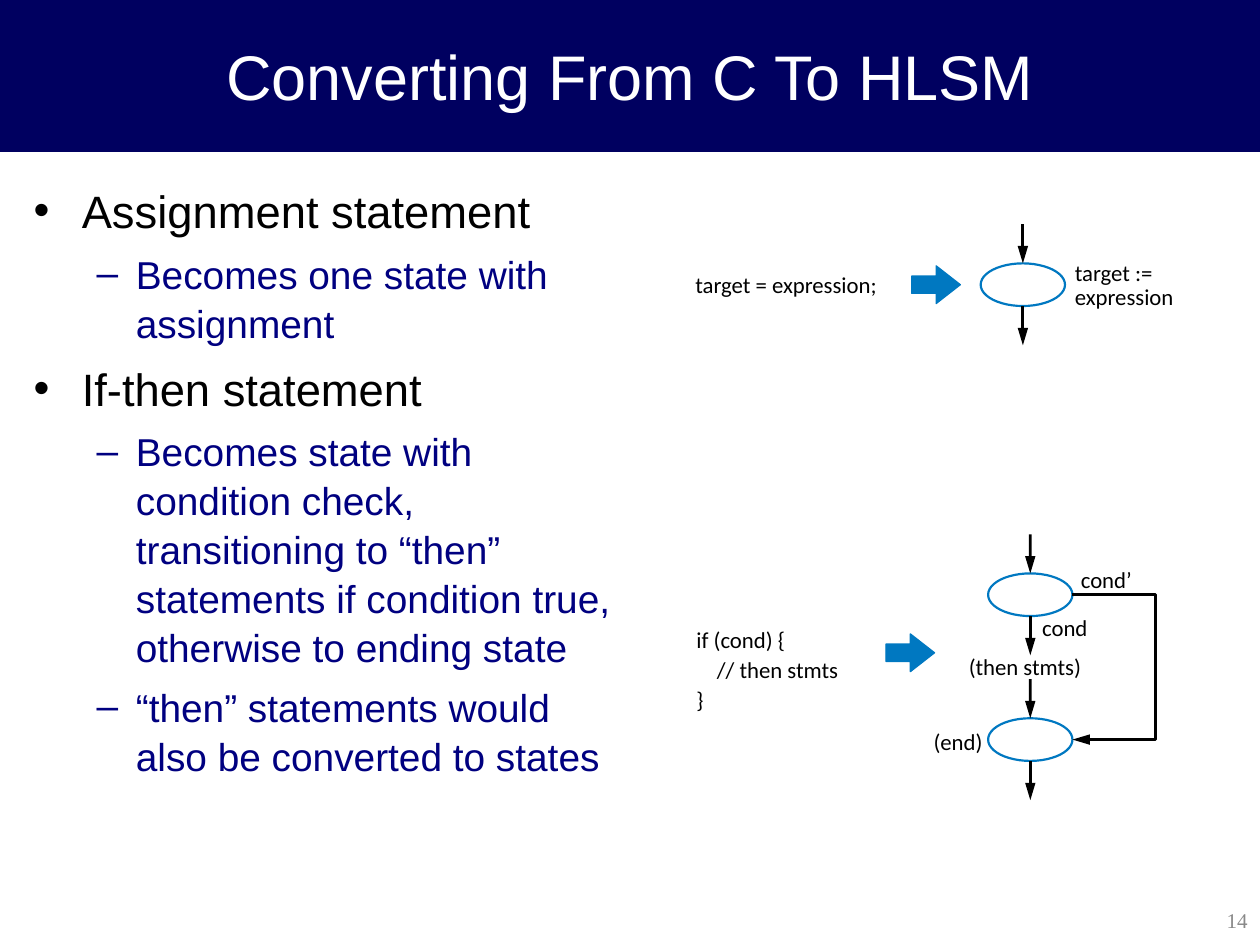
from lxml import etree
from pptx import Presentation
from pptx.dml.color import RGBColor
from pptx.enum import shapes, text
from pptx.oxml import ns
from pptx.util import Cm, Pt

NAVY, BLUE, BLACK, WHITE = "000060", "0078C1", "000000", "FFFFFF"

TITLE = "Converting From C To HLSM"
PAGE_NUMBER = "14"
POINTS = [  # level, wording
    (0, "Assignment statement"),
    (1, "Becomes one state with assignment"),
    (0, "If-then statement"),
    (1, "Becomes state with condition check, transitioning to “then” statements "
        "if condition true, otherwise to ending state"),
    (1, "“then” statements would also be converted to states"),
]
LEVELS = [
    dict(mark="•", size=25.9, color=BLACK, margin=0.97, hang=0.97, before=7),
    dict(mark="–", size=22.2, color="000080", margin=2.06, hang=0.79, before=6),
]
LABELS = [  # lines, left, top, width, line pitch in points
    (["target = expression;"], 14.02, 5.46, 4.4, None),
    (["target :=", "expression"], 21.67, 5.28, 2.45, 13.7),
    (["if (cond) {", "    // then stmts", "}"], 14.04, 12.55, 3.4, 17.3),
    (["(then stmts)"], 19.53, 13.16, 2.7, None),
    (["cond’"], 21.79, 11.4, 1.3, None),
    (["cond"], 21.01, 12.37, 1.2, None),
    (["(end)"], 18.82, 14.68, 1.2, None),
]
STATES = {  # centre x, top
    "assignment": (20.62, 5.31),
    "condition": (20.77, 11.56),
    "end": (20.77, 14.48),
}
STATE_W, STATE_H = 1.7, 0.86
FLOW = 0.79  # length of the arrows into and out of a state
BYPASS_X = 23.29
BLOCK_ARROWS = [(18.38, 5.36), (17.86, 12.78)]


def rgb(color):
    return RGBColor.from_string(color)


def set_font(para, name, size, color):
    para.font.name = name
    para.font.size = Pt(size)
    para.font.color.rgb = rgb(color)


def set_line(shape, color, width):
    shape.line.color.rgb = rgb(color)
    shape.line.width = Pt(width)


def add_arrowhead(shape):
    """Draw the shape's line in black, ending in a slim triangle."""
    set_line(shape, BLACK, 1.62)
    etree.SubElement(shape.line._get_or_add_ln(), ns.qn("a:tailEnd"),
                     type="triangle", w="med", len="lg")


def add_box(page, left, top, width, height, margin=None):
    box = page.shapes.add_textbox(Cm(left), Cm(top), Cm(width), Cm(height))
    frame = box.text_frame
    frame.word_wrap = True
    if margin is not None:
        frame.margin_left = frame.margin_right = Cm(margin)
        frame.margin_top = frame.margin_bottom = Cm(margin)
    return frame


def add_paragraphs(frame, lines):
    frame.text = "\n".join(lines)
    return frame.paragraphs


def add_bullet(para, mark, color, margin, hang):
    props = para._p.get_or_add_pPr()
    props.set("marL", str(Cm(margin)))
    props.set("indent", str(-Cm(hang)))
    tint = etree.SubElement(props, ns.qn("a:buClr"))
    etree.SubElement(tint, ns.qn("a:srgbClr"), val=color)
    etree.SubElement(props, ns.qn("a:buFont"), typeface="Arial")
    etree.SubElement(props, ns.qn("a:buChar"), char=mark)


def add_title(page):
    title = page.shapes.title
    title.left, title.top, title.width, title.height = 0, 0, Cm(25.4), Cm(3.05)
    title.fill.solid()
    title.fill.fore_color.rgb = rgb(NAVY)
    set_line(title, NAVY, 0.75)
    title.text_frame.text = TITLE
    title.text_frame.vertical_anchor = text.MSO_ANCHOR.MIDDLE
    para = title.text_frame.paragraphs[0]
    para.alignment = text.PP_ALIGN.CENTER
    set_font(para, "Arial", 36, WHITE)


def add_points(page):
    frame = add_box(page, 0.43, 3.51, 12.57, 14.53)
    paras = add_paragraphs(frame, [wording for _, wording in POINTS])
    for number, (para, (level, _)) in enumerate(zip(paras, POINTS)):
        style = LEVELS[level]
        para.level = level
        add_bullet(para, style["mark"], style["color"], style["margin"], style["hang"])
        para.line_spacing = 1.05
        if number:
            para.space_before = Pt(style["before"])
        set_font(para, "Arial", style["size"], style["color"])


def add_page_number(page):
    frame = add_box(page, 20.02, 18.03, 5.38, 1.02)
    frame.vertical_anchor = text.MSO_ANCHOR.MIDDLE
    para = add_paragraphs(frame, [PAGE_NUMBER])[0]
    para.alignment = text.PP_ALIGN.RIGHT
    set_font(para, "Times New Roman", 12, "898989")


def add_arrow(page, x, top):
    arrow = page.shapes.add_connector(
        shapes.MSO_CONNECTOR.STRAIGHT, Cm(x), Cm(top), Cm(x), Cm(top + FLOW))
    add_arrowhead(arrow)
    etree.SubElement(arrow._element.spPr, ns.qn("a:effectLst"))
    return arrow


def add_state(page, x, top):
    """Add an empty state with its incoming and outgoing arrows."""
    state = page.shapes.add_shape(
        shapes.MSO_SHAPE.OVAL, Cm(x - STATE_W / 2), Cm(top), Cm(STATE_W), Cm(STATE_H))
    state.shadow.inherit = False
    state.fill.background()
    set_line(state, BLUE, 1.25)
    add_arrow(page, x, top - FLOW).end_connect(state, 0)
    add_arrow(page, x, top + STATE_H)


def add_bypass(page):
    """Lead from the condition state round the then statements to the end state."""
    (x, start), (_, end) = STATES["condition"], STATES["end"]
    side = Cm(x + STATE_W / 2)
    start, end = Cm(start + STATE_H / 2), Cm(end + STATE_H / 2)
    builder = page.shapes.build_freeform(side, start)
    builder.add_line_segments(
        [(Cm(BYPASS_X), start), (Cm(BYPASS_X), end), (side, end)], close=False)
    bypass = builder.convert_to_shape()
    bypass.shadow.inherit = False
    bypass.fill.background()
    add_arrowhead(bypass)


def add_block_arrow(page, left, top):
    arrow = page.shapes.add_shape(
        shapes.MSO_SHAPE.RIGHT_ARROW, Cm(left), Cm(top), Cm(0.98), Cm(0.76))
    arrow.adjustments[0], arrow.adjustments[1] = 0.46, 0.64
    arrow.shadow.inherit = False
    arrow.fill.solid()
    arrow.fill.fore_color.rgb = rgb(BLUE)
    set_line(arrow, BLUE, 0.75)


def add_label(page, lines, left, top, width, pitch):
    frame = add_box(page, left, top, width, 0.56 * len(lines), margin=0)
    for para in add_paragraphs(frame, lines):
        if pitch:
            para.line_spacing = Pt(pitch)
        set_font(para, "Calibri", 13, BLACK)


def main():
    deck = Presentation()
    deck.slide_width, deck.slide_height = Cm(25.4), Cm(19.05)
    page = deck.slides.add_slide(deck.slide_layouts[5])
    add_title(page)
    add_points(page)
    add_page_number(page)
    for x, top in STATES.values():
        add_state(page, x, top)
    add_bypass(page)
    for left, top in BLOCK_ARROWS:
        add_block_arrow(page, left, top)
    for label in LABELS:
        add_label(page, *label)
    deck.save("out.pptx")


if __name__ == "__main__":
    main()
